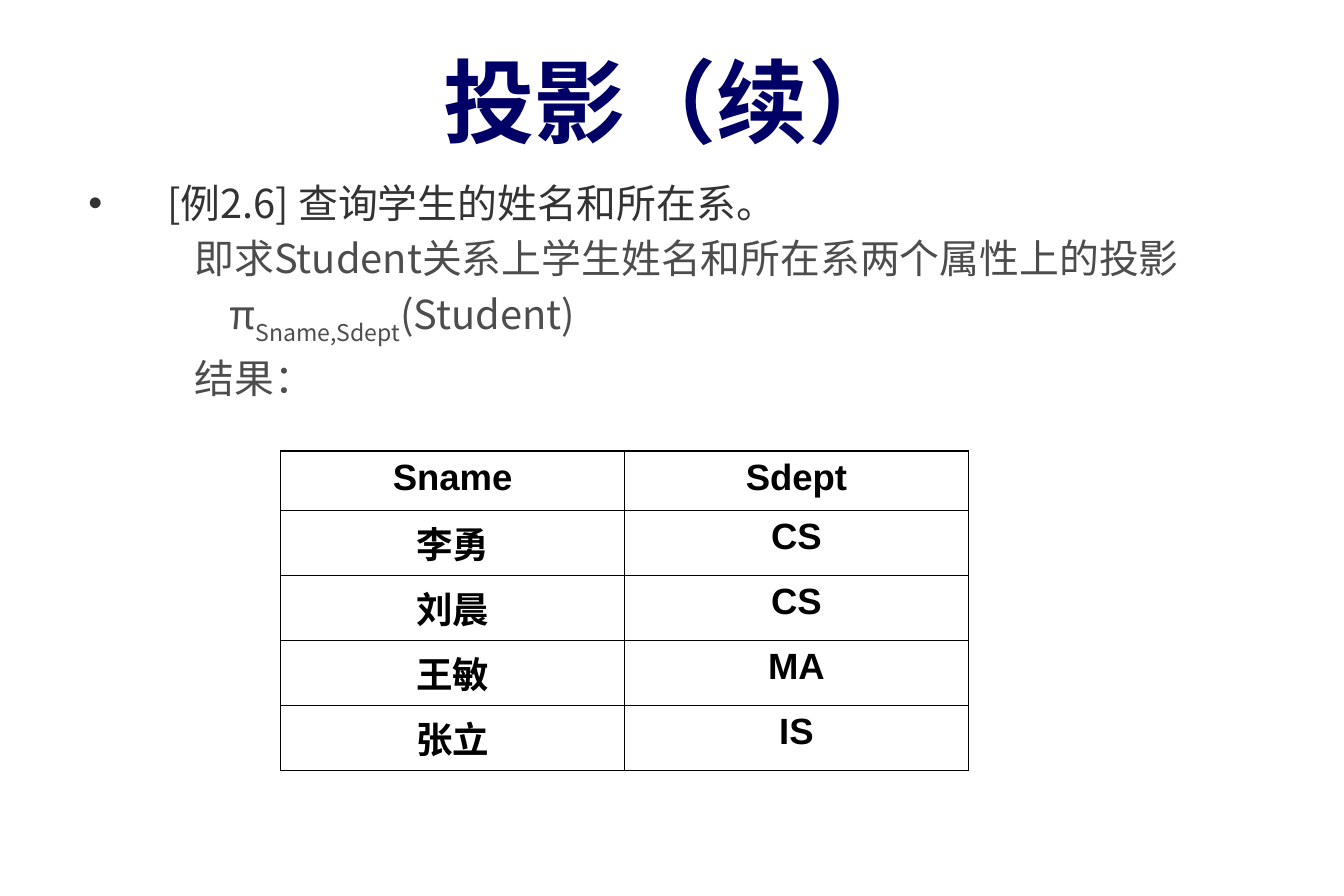
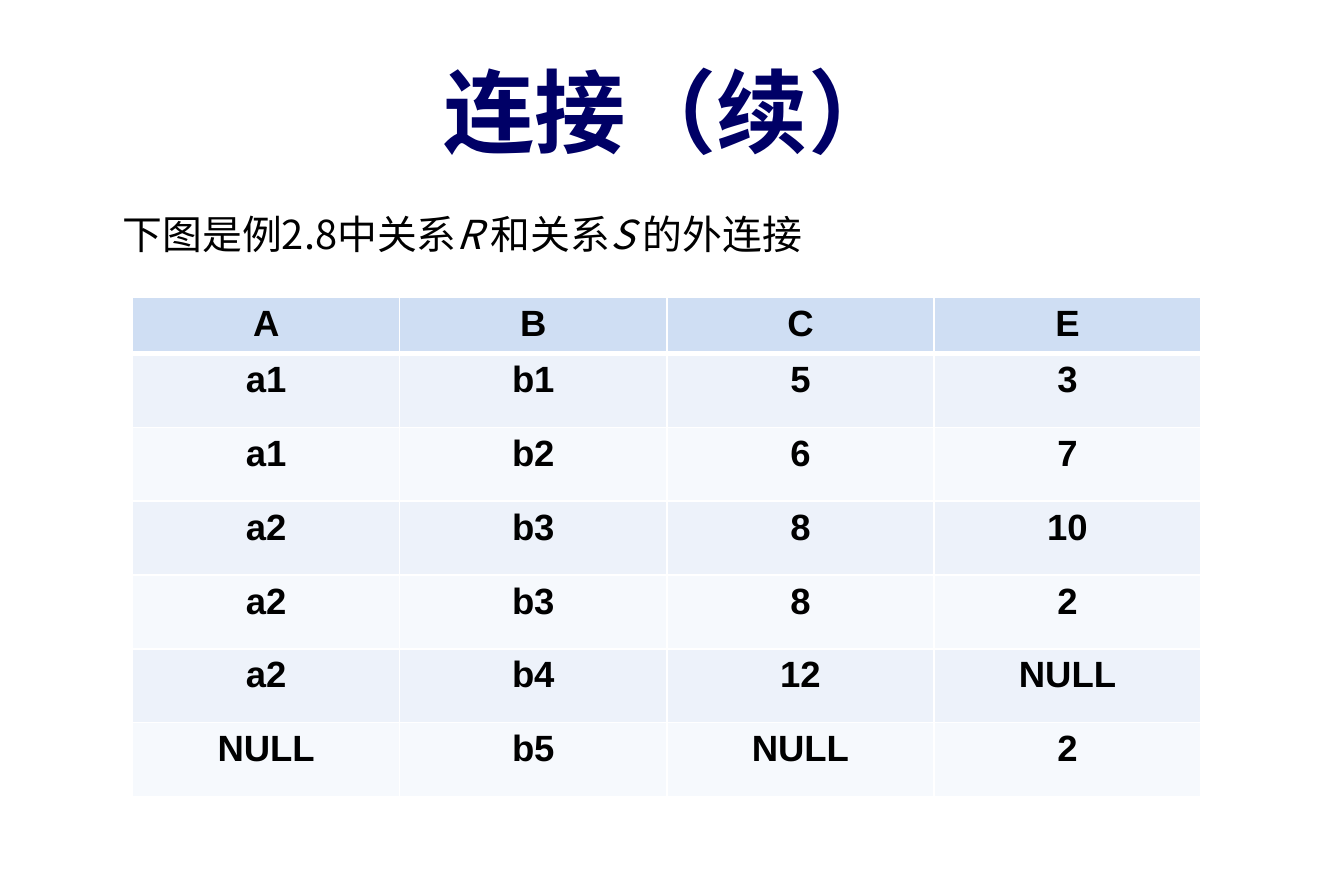
from lxml import etree
from pptx import Presentation
from pptx import util as u
from pptx.dml.color import RGBColor
from pptx.enum import text
from pptx.oxml import ns

Cm, Pt = u.Cm, u.Pt

COLORS = {
    "title": "000066", "lead": "333333", "detail": "4D4D4D", "black": "000000",
    "white": "FFFFFF", "header": "CFDEF3", "odd": "EDF2FA", "even": "F6F9FD",
}
CJK = "Noto Sans CJK SC"

# Character formats: "ea" is the East Asian font, "color" a key of COLORS
TITLE = {"name": "Karla", "ea": "Karla", "size": Pt(55), "bold": True, "color": "title"}
BODY = {"name": CJK, "ea": CJK, "size": Pt(24)}
LEAD = {**BODY, "color": "lead"}
DETAIL = {**BODY, "color": "detail"}
CAPTION = {**BODY, "color": "black"}
CELL = {"name": "Arial", "ea": CJK, "size": Pt(22), "bold": True, "color": "black"}

INSETS = {"margin_left": Cm(0.46), "margin_right": Cm(0.46),
          "margin_top": Cm(0.23), "margin_bottom": Cm(0.23)}


def set_all(obj, values):
    for key, value in values.items():
        setattr(obj, key, value)


def add_sub(parent, tag, **attrs):
    return etree.SubElement(parent, ns.qn(tag), attrs)


def add_run(p, words, fmt, baseline=None):
    r = p.add_run()
    r.text = words
    set_all(r.font, {k: v for k, v in fmt.items() if k not in ("ea", "color")})
    r.font.color.rgb = RGBColor.from_string(COLORS[fmt["color"]])
    rPr = r._r.get_or_add_rPr()
    add_sub(rPr, "a:ea", typeface=fmt["ea"])
    if baseline:
        rPr.set("baseline", str(baseline * 1000))


def add_box(slide, left, top, width, height, **frame):
    tf = slide.shapes.add_textbox(Cm(left), Cm(top), Cm(width), Cm(height)).text_frame
    set_all(tf, {"word_wrap": True, **frame})
    return tf


def add_title(slide, words, top):
    tf = add_box(slide, 1.42, top, 25.72, 3.18,
                 vertical_anchor=text.MSO_ANCHOR.MIDDLE, **INSETS)
    p = tf.paragraphs[0]
    p.alignment = text.PP_ALIGN.CENTER
    add_run(p, words, TITLE)


def add_body(slide, lines):
    """Each line: left margin, first-line indent, bullet, runs."""
    tf = add_box(slide, 1.42, 3.53, 25.72, 5.64, **INSETS)
    for i, (margin, indent, bullet, runs) in enumerate(lines):
        p = tf.add_paragraph() if i else tf.paragraphs[0]
        set_all(p, {"alignment": text.PP_ALIGN.JUSTIFY, "line_spacing": 1.04,
                    "space_after": Pt(3.5)})
        pPr = p._p.get_or_add_pPr()
        pPr.set("marL", str(Cm(margin)))
        pPr.set("indent", str(Cm(indent)))
        if bullet:
            add_sub(pPr, "a:buFont", typeface="Arial")
            add_sub(pPr, "a:buChar", char=bullet)
        for run in runs:
            add_run(p, *run)


def set_borders(cell, color, bottom):
    tcPr = cell._tc.get_or_add_tcPr()
    for side, width in (("L", 1), ("R", 1), ("T", 1), ("B", bottom)):
        ln = add_sub(tcPr, f"a:ln{side}", w=str(Pt(width)))
        add_sub(add_sub(ln, "a:solidFill"), "a:srgbClr", val=COLORS[color])


def add_grid(slide, left, top, col_width, row_heights, rows, border,
             fills=None, header_rule=1):
    """fills: colour keys for the header, odd rows and even rows."""
    cols = len(rows[0])
    table = slide.shapes.add_table(
        len(rows), cols, Cm(left), Cm(top),
        Cm(col_width * cols), Cm(sum(row_heights))).table
    set_all(table, {"first_row": False, "horz_banding": False})
    for col in table.columns:
        col.width = Cm(col_width)
    for i, values in enumerate(rows):
        table.rows[i].height = Cm(row_heights[i])
        for j, value in enumerate(values):
            cell = table.cell(i, j)
            set_borders(cell, border, 1 if i else header_rule)
            if fills:
                key = fills[0] if i == 0 else fills[1 if i % 2 else 2]
                cell.fill.solid()
                cell.fill.fore_color.rgb = RGBColor.from_string(COLORS[key])
            else:
                cell.fill.background()
            p = cell.text_frame.paragraphs[0]
            p.alignment = text.PP_ALIGN.CENTER
            add_run(p, value, CELL)


def projection_slide(slide):
    add_title(slide, "投影（续）", 0.53)
    add_body(slide, [
        (1.68, -1.68, "•", [("[例2.6] 查询学生的姓名和所在系。", LEAD)]),
        (3.63, -1.37, None, [("即求Student关系上学生姓名和所在系两个属性上的投影", DETAIL)]),
        (3.63, -0.63, None, [("π", DETAIL), ("Sname,Sdept", DETAIL, -30),
                             ("(Student)", DETAIL)]),
        (3.63, -1.37, None, [("结果：", DETAIL)]),
    ])
    rows = [("Sname", "Sdept"), ("李勇", "CS"), ("刘晨", "CS"),
            ("王敏", "MA"), ("张立", "IS")]
    add_grid(slide, 5.97, 9.59, 7.31, [1.27] + [1.38] * 4, rows, "black")


def join_slide(slide):
    add_title(slide, "连接（续）", 0.76)

    # Caption with the relation names in italics
    tf = add_box(slide, 2.36, 3.9, 15.5, 2.3, vertical_anchor=text.MSO_ANCHOR.MIDDLE)
    p = tf.paragraphs[0]
    p.line_spacing = 0.83
    for words, italic in (("下图是例2.8中关系", False), ("R ", True), ("和关系", False),
                          ("S ", True), ("的外连接", False)):
        add_run(p, words, {**CAPTION, "italic": italic})

    # Outer join result
    rows = [("A", "B", "C", "E"),
            ("a1", "b1", "5", "3"),
            ("a1", "b2", "6", "7"),
            ("a2", "b3", "8", "10"),
            ("a2", "b3", "8", "2"),
            ("a2", "b4", "12", "NULL"),
            ("NULL", "b5", "NULL", "2")]
    add_grid(slide, 2.82, 6.33, 5.68, [1.18] + [1.57] * 6, rows, "white",
             fills=("header", "odd", "even"), header_rule=3)


def main():
    prs = Presentation()
    set_all(prs, {"slide_width": Cm(28.58), "slide_height": Cm(19.05)})
    for build in (projection_slide, join_slide):
        build(prs.slides.add_slide(prs.slide_layouts[6]))
    prs.save("out.pptx")


if __name__ == "__main__":
    main()
